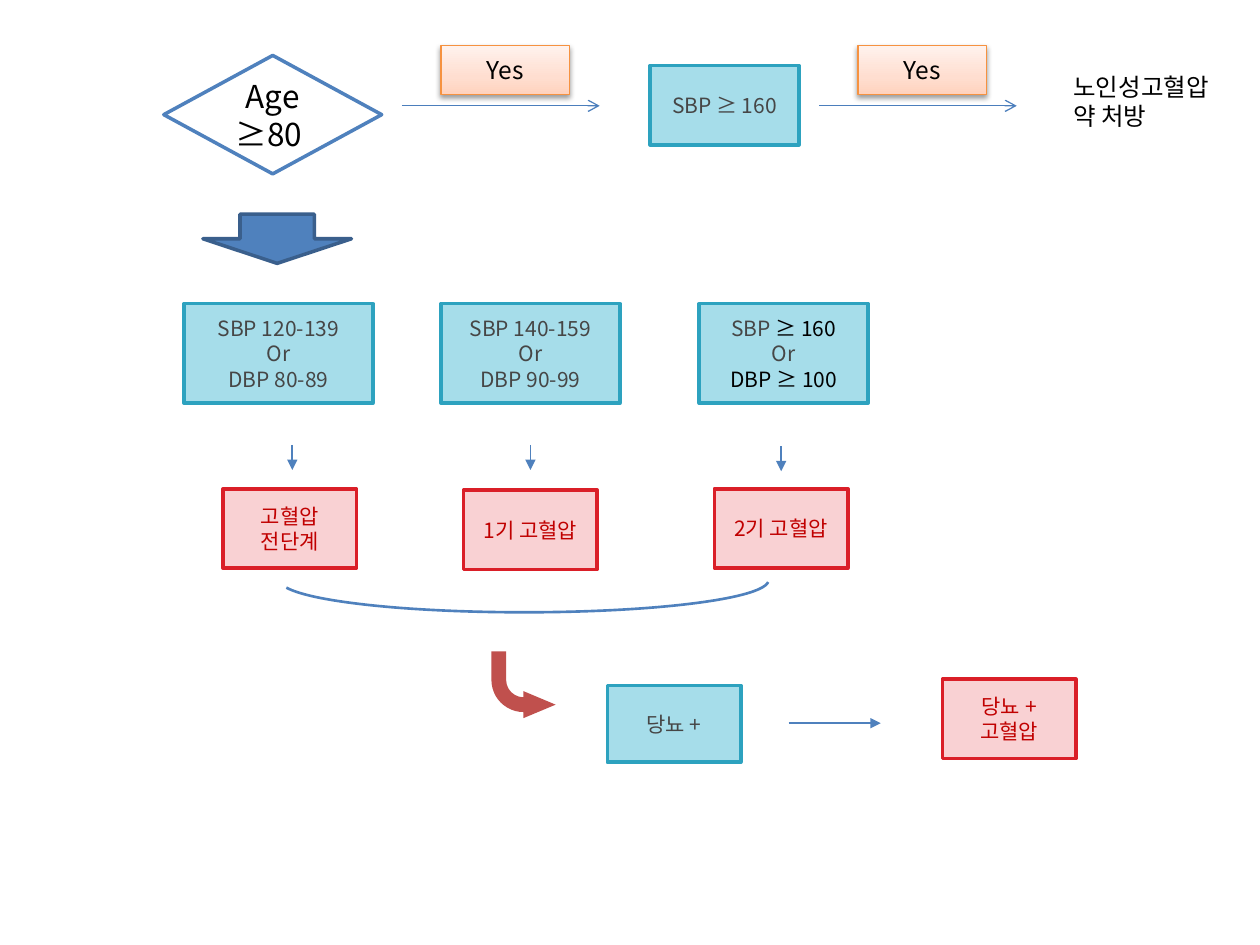
from copy import deepcopy

from pptx import Presentation
from pptx.dml.color import RGBColor
from pptx.enum.shapes import MSO_CONNECTOR, MSO_SHAPE as SHAPE
from pptx.enum.text import MSO_ANCHOR, MSO_AUTO_SIZE, PP_ALIGN
from pptx.oxml.ns import qn
from pptx.util import Inches, Pt
from lxml.etree import SubElement

FONT = "Noto Sans CJK KR"
BLACK = RGBColor(0x00, 0x00, 0x00)
WHITE = RGBColor(0xFF, 0xFF, 0xFF)
GRAY = RGBColor(0x46, 0x46, 0x46)
BLUE = RGBColor(0x4F, 0x81, 0xBD)
DARK_BLUE = RGBColor(0x3A, 0x5F, 0x8C)
THIN_BLUE = RGBColor(0x4B, 0x7E, 0xBC)
AQUA = RGBColor(0xA6, 0xDD, 0xEA)
TEAL = RGBColor(0x2D, 0xA2, 0xBF)
PINK = RGBColor(0xF9, 0xD1, 0xD3)
RED = RGBColor(0xDA, 0x1F, 0x28)
DARK_RED = RGBColor(0xC0, 0x00, 0x00)
BRICK = RGBColor(0xC0, 0x50, 0x4D)
ORANGE = RGBColor(0xF6, 0x92, 0x40)
PEACH_STOPS = [
    (0, RGBColor(0xFF, 0xD2, 0xBD)),
    (0.35, RGBColor(0xFF, 0xDE, 0xD0)),
    (1, RGBColor(0xFF, 0xF2, 0xED)),
]


def add_shape(slide, kind, box, fill=None, line=None, width=2):
    sp = slide.shapes.add_shape(kind, *map(Inches, box))
    sp.shadow.inherit = False
    if fill is None:
        sp.fill.background()
    else:
        sp.fill.solid()
        sp.fill.fore_color.rgb = fill
    if line is None:
        sp.line.fill.background()
    else:
        sp.line.color.rgb = line
        sp.line.width = Pt(width)
    return sp


def format_run(r, size, color):
    r.font.size = Pt(size)
    r.font.name = FONT
    r.font.color.rgb = color
    SubElement(r.font._element, qn("a:ea"), typeface=FONT)


def write(sp, lines, size, color, align=PP_ALIGN.CENTER, hanging=0):
    tf = sp.text_frame
    tf.text = "\n".join(lines)
    tf.vertical_anchor = MSO_ANCHOR.MIDDLE
    for p in tf.paragraphs:
        p.alignment = align
        if hanging:
            pPr = p._p.get_or_add_pPr()
            pPr.set("marL", str(Inches(hanging)))
            pPr.set("indent", str(-Inches(hanging)))
        for r in p.runs:
            format_run(r, size, color)


def add_criterion(slide, box, lines, hanging=0.38):
    sp = add_shape(slide, SHAPE.RECTANGLE, box, AQUA, TEAL)
    write(sp, lines, 12, GRAY, hanging=hanging)
    return sp


def add_diagnosis(slide, left, top, text):
    sp = add_shape(slide, SHAPE.RECTANGLE, (left, top, 1.06, 0.63), PINK, RED)
    write(sp, [text], 12, DARK_RED)


def add_yes(slide, left):
    sp = add_shape(slide, SHAPE.RECTANGLE, (left, 0.36, 1.02, 0.39), WHITE, ORANGE, 0.75)
    sp.fill.gradient()
    sp.fill.gradient_angle = 90
    stops = sp._element.spPr.find(qn("a:gradFill")).find(qn("a:gsLst"))
    stops.insert(1, deepcopy(stops[0]))
    for gs, (position, color) in zip(sp.fill.gradient_stops, PEACH_STOPS):
        gs.position = position
        gs.color.rgb = color
    effects = sp._element.spPr.find(qn("a:effectLst"))
    shadow = SubElement(effects, qn("a:outerShdw"), blurRad=str(Pt(3.1)),
                        dist=str(Pt(1.6)), dir="5400000", rotWithShape="0")
    black = SubElement(shadow, qn("a:srgbClr"), val="000000")
    SubElement(black, qn("a:alpha"), val="38000")
    write(sp, ["Yes"], 14, BLACK)


def add_arrow(slide, start, end, color=BLUE, width=1, head="triangle"):
    cx = slide.shapes.add_connector(MSO_CONNECTOR.STRAIGHT, *map(Inches, start + end))
    cx.line.color.rgb = color
    cx.line.width = Pt(width)
    SubElement(cx.line._get_or_add_ln(), qn("a:tailEnd"), type=head)
    SubElement(cx._element.spPr, qn("a:effectLst"))


def adjust(sp, values, *flips):
    for i, value in enumerate(values):
        sp.adjustments[i] = value
    for flip in flips:
        sp._element.spPr.find(qn("a:xfrm")).set(flip, "1")


def add_prescription(slide):
    tb = slide.shapes.add_textbox(*map(Inches, (8.42, 0.52, 1.38, 0.57)))
    write(tb, ["노인성고혈압", "약 처방"], 14, BLACK, PP_ALIGN.LEFT)
    tb.text_frame.vertical_anchor = MSO_ANCHOR.TOP
    tb.text_frame.word_wrap = False
    tb.text_frame.auto_size = MSO_AUTO_SIZE.SHAPE_TO_FIT_TEXT


def add_age_row(slide):
    sp = add_shape(slide, SHAPE.FLOWCHART_DECISION, (1.3, 0.44, 1.73, 0.94), WHITE, BLUE)
    write(sp, ["Age", "≥80 "], 18, BLACK)
    for left in (3.19, 6.5):
        add_arrow(slide, (left, 0.84), (left + 1.57, 0.84), THIN_BLUE, 0.75, "arrow")
        add_yes(slide, left + 0.31)
    add_criterion(slide, (5.16, 0.52, 1.18, 0.63), ["SBP ≥ 160"], 0.28)
    add_prescription(slide)
    add_shape(slide, SHAPE.DOWN_ARROW, (1.61, 1.7, 1.18, 0.39), BLUE, DARK_BLUE)


def add_stages(slide):
    stages = [
        (1.46, 1.5, ["SBP 120-139", "Or", "DBP 80-89"], 1.77, 3.88, "고혈압 전단계", 2.32, 3.53),
        (3.5, 1.42, ["SBP 140-159", "Or", "DBP 90-99"], 3.68, 3.89, "1기 고혈압", 4.21, 3.53),
        (5.55, 1.34, ["SBP ", "Or", "DBP ≥ 100"], 5.67, 3.88, "2기 고혈압", 6.2, 3.54),
    ]
    for left, width, lines, result_left, result_top, result, x, y in stages:
        sp = add_criterion(slide, (left, 2.41, width, 0.79), lines)
        add_diagnosis(slide, result_left, result_top, result)
        add_arrow(slide, (x, y), (x, y + 0.2))
    first, _, last = sp.text_frame.paragraphs
    r = first.add_run()
    r.text = "≥ 160"
    format_run(r, 12, BLACK)
    last.runs[0].font.color.rgb = BLACK


def add_diabetes_row(slide):
    arc = add_shape(slide, SHAPE.ARC, (2.22, 4.35, 3.88, 0.51), line=BLUE, width=1.5)
    adjust(arc, (108.26, 214.92), "flipH", "flipV")
    bent = add_shape(slide, SHAPE.BENT_ARROW, (3.9, 5.17, 0.51, 0.53), BRICK)
    adjust(bent, (0.23, 0.21, 0.5, 0.66), "flipV")
    add_criterion(slide, (4.82, 5.44, 1.06, 0.61), ["당뇨 +"])
    add_arrow(slide, (6.26, 5.74), (6.99, 5.74))
    add_diagnosis(slide, 7.48, 5.39, "당뇨 + 고혈압")


def main():
    prs = Presentation()
    prs.slide_width, prs.slide_height = Inches(10), Inches(7.5)
    slide = prs.slides.add_slide(prs.slide_layouts[6])
    add_age_row(slide)
    add_stages(slide)
    add_diabetes_row(slide)
    prs.save("out.pptx")


if __name__ == "__main__":
    main()
